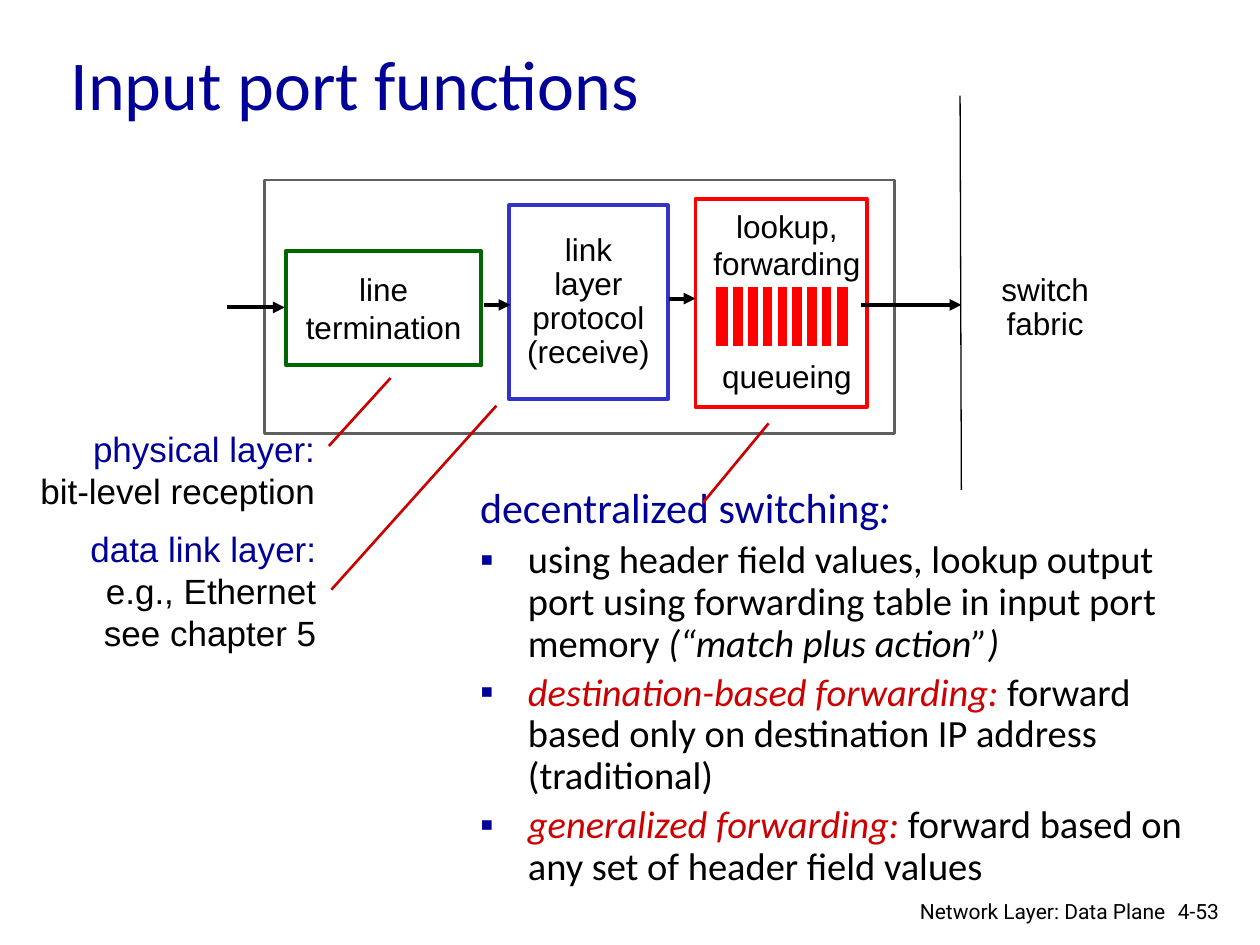
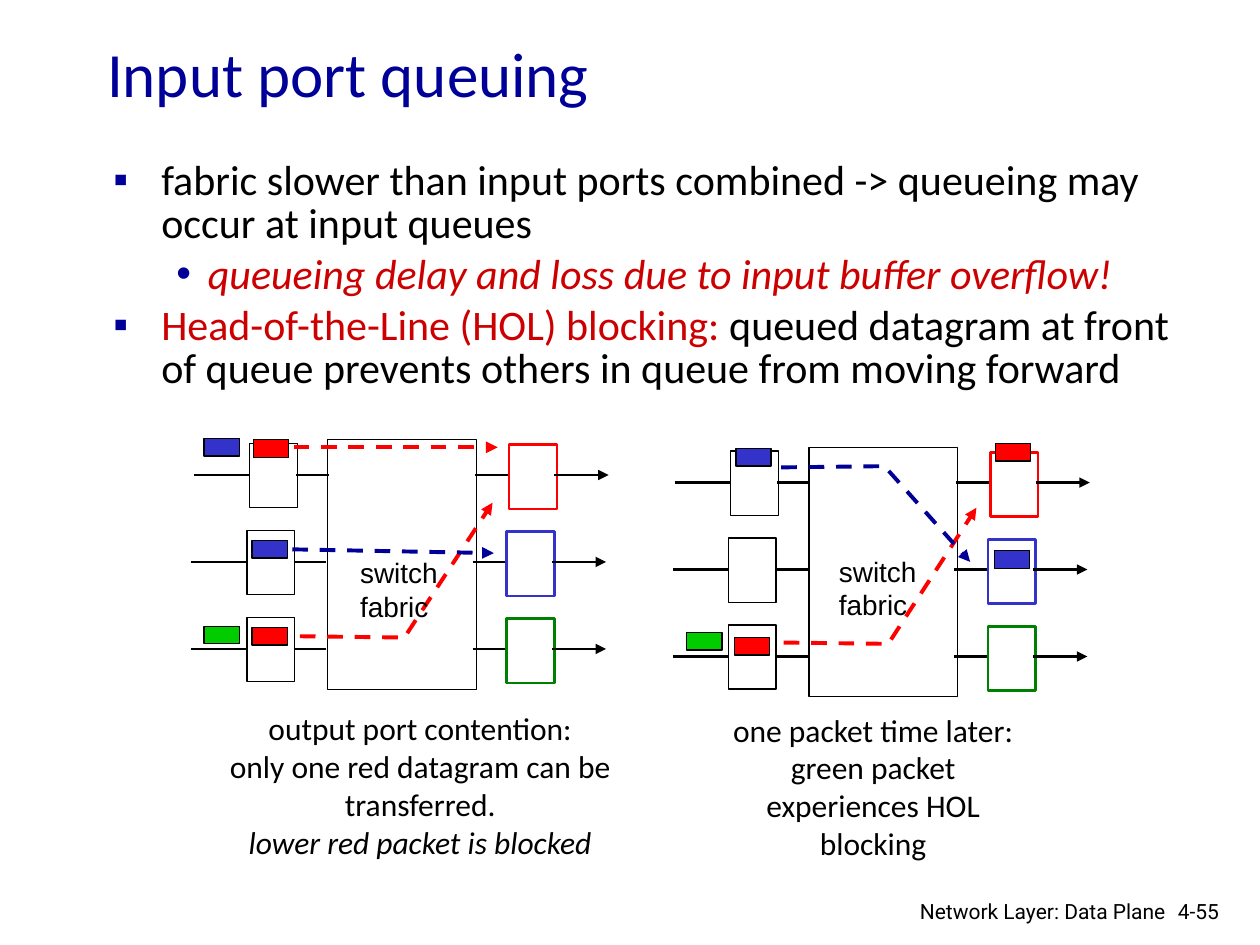
from lxml import etree
from pptx import Presentation
from pptx.dml.color import RGBColor
from pptx.enum.dml import MSO_LINE
from pptx.enum.shapes import MSO_CONNECTOR, MSO_SHAPE
from pptx.enum.text import MSO_ANCHOR, MSO_AUTO_SIZE, PP_ALIGN
from pptx.oxml.ns import qn
from pptx.util import Inches, Pt

LEFT, MID, RIGHT = PP_ALIGN.LEFT, PP_ALIGN.CENTER, PP_ALIGN.RIGHT
TOP, CENTER = MSO_ANCHOR.TOP, MSO_ANCHOR.MIDDLE
NO_FIT, DASH = MSO_AUTO_SIZE.NONE, MSO_LINE.DASH
RECT, STRAIGHT = MSO_SHAPE.RECTANGLE, MSO_CONNECTOR.STRAIGHT

BLACK = RGBColor(0x00, 0x00, 0x00)
WHITE = RGBColor(0xFF, 0xFF, 0xFF)
GRAY = RGBColor(0x5F, 0x5F, 0x5F)
NAVY = RGBColor(0x00, 0x00, 0x99)
BLUE = RGBColor(0x33, 0x33, 0xCC)
RED = RGBColor(0xFF, 0x00, 0x00)
CRIMSON = RGBColor(0xCC, 0x00, 0x00)
PINE = RGBColor(0x00, 0x66, 0x00)
GREEN = RGBColor(0x00, 0x80, 0x00)
LIME = RGBColor(0x00, 0xCC, 0x00)

SANS, BODY, FOOT = "Arial", "Calibri", "Roboto"
FOOTER = "Network Layer: Data Plane"

# Content: a paragraph is a list of runs (text, colour, italic)
PORT = {
    "title": "Input port functions", "size": 40, "page": "4-53",
    "head": (0.46, 0.32, 8.5, 0.67),
    "area": (3.71, 3.82, 5.97, 2.92), "spacing": 0.9,
    "points": [
        ("", 24, [("decentralized switching", NAVY, False), (":", NAVY, True)]),
        ("▪", 22, [("using header field values, lookup output port using "
                    "forwarding table in input port memory ", BLACK, False),
                   ("(“match plus action”)", BLACK, True)]),
        ("▪", 22, [("destination-based forwarding: ", CRIMSON, True),
                   ("forward based only on destination IP address "
                    "(traditional)", BLACK, False)]),
        ("▪", 22, [("generalized forwarding: ", CRIMSON, True),
                   ("forward based on any set of header field values",
                    BLACK, False)]),
    ],
}
QUEUE = {
    "title": "Input port queuing", "size": 36, "page": "4-55",
    "head": (0.75, 0.32, 8.5, 0.5),
    "area": (0.8, 1.23, 8.86, 2.9), "spacing": 0.85,
    "points": [
        ("▪", 24, [("fabric slower than input ports combined -> queueing may "
                    "occur at input queues", BLACK, False)]),
        ("•", 24, [("queueing delay and loss due to input buffer overflow!",
                    CRIMSON, True)]),
        ("▪", 24, [("Head-of-the-Line (HOL) blocking:", CRIMSON, False),
                   (" queued datagram at front of queue prevents others in "
                    "queue from moving forward", BLACK, False)]),
    ],
}
INDENT = {"": (0.38, -0.38), "▪": (0.38, -0.38), "•": (0.75, -0.25)}

# Input port stages: box, outline, label lines, line spacing
STAGES = [
    ((2.27, 1.99, 1.55, 0.91), PINE, ["line", "termination"], 1),
    ((4.04, 1.63, 1.26, 1.54), BLUE,
     ["link", "layer", "protocol", "(receive)"], 0.9),
    ((5.52, 1.58, 1.36, 1.65), RED, [], 1),
]
ARROWS = [(1.8, 2.26, 2.44), (3.84, 4.05, 2.42), (5.31, 5.52, 2.37),
          (6.83, 7.63, 2.42)]
NOTES = [
    ((0.2, 3.34, 2.4, 0.77),
     [[("physical layer:", NAVY, False)], "bit-level reception"]),
    ((0.41, 4.14, 2.2, 1.1),
     [[("data link layer:", NAVY, False)], "e.g., Ethernet", "see chapter 5"]),
]
LEADS = [((2.61, 3.54), (3.1, 3)), ((2.63, 4.68), (3.94, 3.22)),
         ((5.58, 3.99), (6.1, 3.36))]

# The two switches: shift, packets, dashed routes, label place, caption
SWITCHES = [
    {"shift": (0, 0),
     "packets": [(2.01, 3.49, RED), (2, 4.29, BLUE), (2, 4.98, RED),
                 (1.62, 3.48, BLUE), (1.62, 4.97, LIME)],
     "routes": [(RED, [(2.33, 3.55), (3.95, 3.55)]),
                (RED, [(2.38, 5.05), (3.21, 5.06), (3.91, 3.99)]),
                (NAVY, [(2.32, 4.36), (3.92, 4.39)])],
     "label": (2.76, 4.36, 0.82, 0.64),
     "area": (1.48, 5.58, 3.71, 1.3),
     "caption": ["output port contention:",
                 "only one red datagram can be transferred.",
                 [("lower red packet is blocked", BLACK, True)]]},
    {"shift": (3.82, 0.06),
     "packets": [(7.9, 3.52, RED), (5.84, 3.56, BLUE), (5.83, 5.06, RED),
                 (5.45, 5.02, LIME), (7.89, 4.37, BLUE)],
     "routes": [(RED, [(6.22, 5.1), (7.05, 5.11), (7.75, 4.03)]),
                (NAVY, [(6.2, 3.71), (7.02, 3.7), (7.7, 4.46)])],
     "label": (6.56, 4.35, 0.82, 0.64),
     "area": (5.71, 5.59, 2.44, 1.3),
     "caption": ["one packet time later: green packet experiences HOL "
                 "blocking"]},
]
WIRES = [(1.52, 1.96, False), (2.33, 2.59, False), (3.75, 4.01, False),
         (4.38, 4.81, True)]


def place(area):
    return [Inches(v) for v in area]


def write(para, runs, font, size):
    if isinstance(runs, str):
        runs = [(runs, BLACK, False)]
    for text, color, slant in runs:
        run = para.add_run()
        run.text = text
        run.font.name, run.font.size = font, Pt(size)
        run.font.italic = slant
        run.font.color.rgb = color


def fill(frame, paras, font, size, align=LEFT, spacing=1, wrap=True):
    frame.word_wrap = wrap
    for i, runs in enumerate(paras):
        para = frame.add_paragraph() if i else frame.paragraphs[0]
        para.alignment, para.line_spacing = align, spacing
        write(para, runs, font, size)
    return frame


def label(shapes, area, paras, font, size, align=LEFT, spacing=1, wrap=True):
    box = shapes.add_textbox(*place(area))
    return fill(box.text_frame, paras, font, size, align, spacing, wrap)


def block(shapes, area, color, edge, width):
    box = shapes.add_shape(RECT, *place(area))
    box.shadow.inherit = False
    box.fill.solid()
    box.fill.fore_color.rgb = color
    box.line.color.rgb, box.line.width = edge, Pt(width)
    return box


def trace(shapes, points, color, width, arrow=False, dash=False):
    """Draw a straight connector, or an open outline through more points."""
    if len(points) == 2:
        (x1, y1), (x2, y2) = points
        path = shapes.add_connector(STRAIGHT, *place((x1, y1, x2, y2)))
    else:
        # The builder rounds to whole units, so points are given in EMU
        spots = [place(point) for point in points]
        pen = shapes.build_freeform(*spots[0], scale=1.0)
        pen.add_line_segments(spots[1:], close=False)
        path = pen.convert_to_shape()
        path.fill.background()
        path.shadow.inherit = False
    path.line.color.rgb, path.line.width = color, Pt(width)
    if dash:
        path.line.dash_style = DASH
    props = path.element.spPr
    if arrow:
        etree.SubElement(props.find(qn("a:ln")), qn("a:tailEnd"),
                         type="triangle")
    if props.find(qn("a:effectLst")) is None:
        etree.SubElement(props, qn("a:effectLst"))


def bullet(para, mark):
    props = para._p.get_or_add_pPr()
    margin, hang = INDENT[mark]
    props.set("marL", str(Inches(margin)))
    props.set("indent", str(Inches(hang)))
    if not mark:
        etree.SubElement(props, qn("a:buNone"))
        return
    tint = etree.SubElement(props, qn("a:buClr"))
    etree.SubElement(tint, qn("a:srgbClr"), val=str(NAVY))
    etree.SubElement(props, qn("a:buChar"), char=mark)


def start(deck, info):
    """Add a slide with its title, list and footer."""
    slide = deck.slides.add_slide(deck.slide_layouts[1])
    head, body = slide.placeholders
    for item, area in ((head, info["head"]), (body, info["area"])):
        item.left, item.top, item.width, item.height = place(area)
        item.text_frame.auto_size = NO_FIT
    head.text_frame.vertical_anchor = CENTER
    fill(head.text_frame, [[(info["title"], NAVY, False)]], BODY, info["size"])

    frame = body.text_frame
    frame.vertical_anchor = TOP
    for i, (mark, size, runs) in enumerate(info["points"]):
        para = frame.add_paragraph() if i else frame.paragraphs[0]
        para.level = 1 if mark == "•" else 0
        bullet(para, mark)
        para.line_spacing = info["spacing"]
        para.space_before = Pt(size * 0.2 if i else 0)
        write(para, runs, BODY, size)

    label(slide.shapes, (9.25, 7.08, 0.61, 0.3), [info["page"]], FOOT, 12)
    label(slide.shapes, (6.97, 7.08, 2.38, 0.26), [FOOTER], FOOT, 12, RIGHT)
    return slide.shapes


def draw_port(shapes):
    # Port frame and its stages
    block(shapes, (2.1, 1.43, 5, 2.01), WHITE, GRAY, 1.5)
    for area, edge, lines, spacing in STAGES:
        frame = block(shapes, area, WHITE, edge, 2.25).text_frame
        frame.vertical_anchor = CENTER
        fill(frame, lines, SANS, 18, MID, spacing, False)
    for x1, x2, y in ARROWS:
        trace(shapes, [(x1, y), (x2, y)], BLACK, 2.25, arrow=True)

    # Lookup stage: label and queue slots
    frame = label(shapes, (5.56, 1.59, 1.37, 1.6),
                  ["lookup,", "forwarding", "queueing"], SANS, 18, MID,
                  wrap=False)
    frame.paragraphs[2].space_before = Pt(43)
    block(shapes, (5.66, 2.26, 1.09, 0.51), RED, WHITE, 3)
    first, last, count = 5.8, 6.62, 8
    for i in range(count):
        x = first + i * (last - first) / (count - 1)
        trace(shapes, [(x, 2.26), (x, 2.76)], WHITE, 3)

    # Switch fabric edge and layer notes
    trace(shapes, [(7.62, 0.76), (7.63, 3.89)], BLACK, 0.75)
    frame = label(shapes, (7.72, 1.99, 1.15, 0.91), ["switch", "fabric"],
                  SANS, 18, MID, 0.9, False)
    frame.vertical_anchor = CENTER
    for area, lines in NOTES:
        label(shapes, area, lines, SANS, 20, RIGHT)
    for lead in LEADS:
        trace(shapes, lead, CRIMSON, 1.5)


def draw_switch(shapes, info):
    # Fabric, ports and wires
    dx, dy = info["shift"]
    block(shapes, (2.6 + dx, 3.49 + dy, 1.18, 1.98), WHITE, BLACK, 0.75)
    for row, edge in enumerate((RED, BLUE, GREEN)):
        x = dx + (0.02 if row == 0 else 0)
        y = 3.77 + dy + row * 0.69
        block(shapes, (1.96 + x, y - 0.25, 0.38, 0.51), WHITE, BLACK, 0.75)
        block(shapes, (4.02 + x, y - 0.24, 0.38, 0.51), WHITE, edge, 1.5)
        for x1, x2, arrow in WIRES:
            trace(shapes, [(x1 + x, y), (x2 + x, y)], BLACK, 1.5, arrow)

    # Packets, routes and words
    for x, y, color in info["packets"]:
        block(shapes, (x, y, 0.28, 0.14), color, BLACK, 0.75)
    for color, points in info["routes"]:
        trace(shapes, points, color, 2.25, arrow=True, dash=True)
    label(shapes, info["label"], ["switch", "fabric"], SANS, 16, wrap=False)
    label(shapes, info["area"], info["caption"], BODY, 18, MID)


def main():
    deck = Presentation()
    deck.slide_width, deck.slide_height = Inches(10), Inches(7.5)
    draw_port(start(deck, PORT))
    shapes = start(deck, QUEUE)
    for info in SWITCHES:
        draw_switch(shapes.add_group_shape().shapes, info)
    deck.save("out.pptx")


if __name__ == "__main__":
    main()
